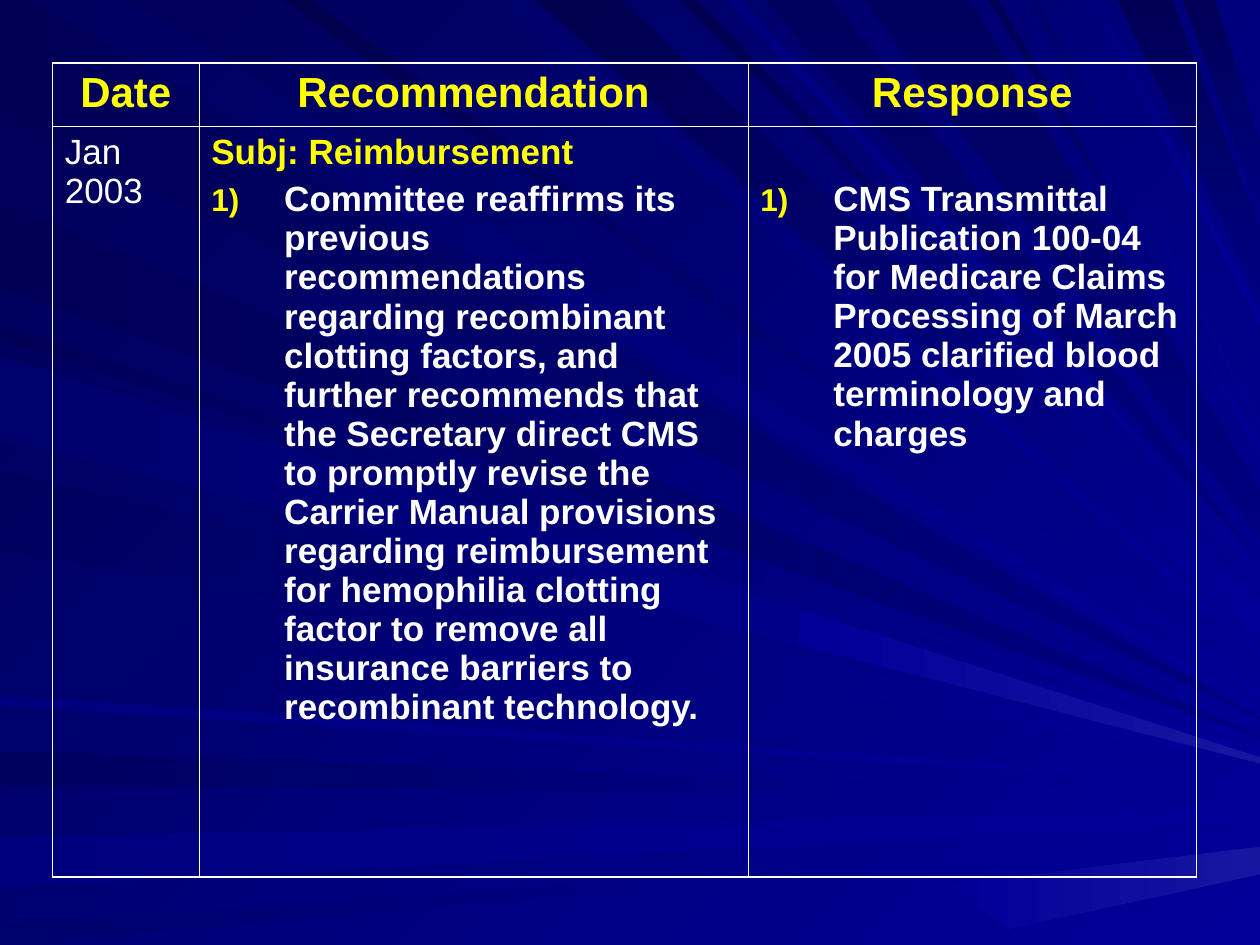
from dataclasses import dataclass

from lxml import etree
from pptx import Presentation
from pptx import util as u
from pptx.dml.color import RGBColor
from pptx.enum import text
from pptx.oxml import ns

WHITE = RGBColor(0xFF, 0xFF, 0xFF)
YELLOW = RGBColor(0xFF, 0xFF, 0x00)
ROYAL = RGBColor(0x00, 0x00, 0x99)
NAVY = RGBColor(0x00, 0x00, 0x80)
GLOW = RGBColor(0x16, 0x16, 0xA1)
FAINT = RGBColor(0x00, 0x00, 0x7E)
MID = RGBColor(0x00, 0x00, 0x6C)
DIM = RGBColor(0x00, 0x00, 0x5E)
NIGHT = RGBColor(0x00, 0x00, 0x56)
DEEP = RGBColor(0x00, 0x00, 0x4C)

RAY_UNIT = u.Cm(0.0254)  # the slide is 1000 of these wide
RIGHT_EDGE = 1000
FLAT, SLANTED, UPRIGHT = 180, 135, 90  # directions of the gradients
THICK, THIN = u.Pt(1.08), u.Pt(0.45)
HANG = u.Cm(1.47)
PADDING = u.Cm(0.13)
RESPONSE_TOP = u.Cm(1.09)  # level with the numbered recommendation
FONT = "Arial"


@dataclass(frozen=True)
class Ray:
    """A beam from a stretch of the left or top edge to a tip on the right edge."""
    near: int
    far: int
    tip: int
    dark: RGBColor
    angle: int = SLANTED
    light: RGBColor = ROYAL
    from_top: bool = False
    spread: int = 1

    def outline(self) -> list:
        ends = [(0, self.near), (0, self.far)]
        if self.from_top:
            ends = [(x, y) for y, x in ends]
        return ends + [(RIGHT_EDGE, self.tip + self.spread), (RIGHT_EDGE, self.tip - self.spread)]


@dataclass(frozen=True)
class Line:
    """One paragraph of a table cell."""
    words: str
    color: RGBColor = WHITE
    size: int = 20
    bold: bool = True
    align: text.PP_ALIGN = text.PP_ALIGN.LEFT
    hanging: bool = False
    numbered: bool = False


def top_ray(near: int, far: int, tip: int, dark: RGBColor, **extra) -> Ray:
    return Ray(far, near, tip, dark, from_top=True, **extra)


STEEP = {"angle": UPRIGHT, "light": NAVY}
LEVEL_NAVY = {"angle": FLAT, "light": NAVY}
RAYS = (
    Ray(2, 93, 570, NIGHT, **LEVEL_NAVY),
    top_ray(26, 101, 563, DIM),
    Ray(596, 623, 632, DIM, FLAT),
    Ray(665, 704, 647, FAINT, FLAT, spread=4),
    Ray(735, 750, 662, MID, FLAT),
    Ray(258, 270, 589, NIGHT),
    Ray(159, 228, 585, NIGHT, **LEVEL_NAVY),
    top_ray(398, 416, 518, MID, spread=3),
    top_ray(426, 492, 493, DEEP, spread=14),
    top_ray(540, 552, 463, DEEP),
    top_ray(606, 661, 446, DIM, **STEEP),
    top_ray(887, 930, 210, NIGHT, spread=27, **STEEP),
    top_ray(939, 964, 140, NIGHT, spread=27, **STEEP),
    Ray(278, 342, 599, DIM, spread=3),
    Ray(374, 437, 606, DIM),
    Ray(552, 560, 622, FAINT, FLAT),
    top_ray(225, 247, 550, DEEP, spread=3),
    top_ray(577, 588, 454, FAINT),
    top_ray(686, 770, 409, DIM, spread=19, **STEEP),
    top_ray(785, 792, 357, NIGHT, spread=3),
    top_ray(815, 824, 336, MID),
    top_ray(865, 872, 254, FAINT, spread=4),
    Ray(283, 347, 604, MID, FLAT, spread=3),
)
GLEAMS = (
    ((637, 485), (633, 511), (1000, 606), (1000, 601)),
    ((1000, 694), (1000, 672), (756, 702), (800, 737)),
)

HEADINGS = ("Date", "Recommendation", "Response")
ROWS = (
    tuple((Line(heading, YELLOW, 24, align=text.PP_ALIGN.CENTER),) for heading in HEADINGS),
    (
        (Line("Jan 2003", bold=False),),
        (
            Line("Subj: Reimbursement", YELLOW, hanging=True),
            Line("Committee reaffirms its previous recommendations regarding recombinant "
                 "clotting factors, and further recommends that the Secretary direct CMS to "
                 "promptly revise the Carrier Manual provisions regarding reimbursement for "
                 "hemophilia clotting factor to remove all insurance barriers to recombinant "
                 "technology.", hanging=True, numbered=True),
        ),
        (
            Line("CMS Transmittal Publication 100-04 for Medicare Claims Processing of March "
                 "2005 clarified blood terminology and charges", hanging=True, numbered=True),
        ),
    ),
)
COLUMN_WIDTHS = (u.Cm(2.95), u.Cm(11.07), u.Cm(9.04))
ROW_HEIGHTS = (u.Cm(1.27), u.Cm(15.14))


def set_gradient(fill, start: RGBColor, end: RGBColor, angle: int) -> None:
    fill.gradient()
    fill.gradient_angle = angle
    for stop, color in zip(fill.gradient_stops, (start, end)):
        stop.color.rgb = color


def draw_beam(slide, points, start: RGBColor, end: RGBColor, angle: int) -> None:
    outline = slide.shapes.build_freeform(*points[0], scale=RAY_UNIT)
    outline.add_line_segments(points[1:], close=True)
    beam = outline.convert_to_shape()
    beam.shadow.inherit = False
    beam.line.fill.background()
    set_gradient(beam.fill, start, end, angle)


def add_child(parent, tag: str, **attributes: str):
    return etree.SubElement(parent, ns.qn(tag), attributes)


def write_line(paragraph, line: Line, first: bool) -> None:
    properties = paragraph._p.get_or_add_pPr()
    if line.hanging:
        properties.set("marL", str(HANG))
        properties.set("indent", str(-HANG))
    if line.numbered:
        add_child(add_child(properties, "a:buClr"), "a:srgbClr", val=str(YELLOW))
        add_child(properties, "a:buSzPct", val="90000")
        add_child(properties, "a:buAutoNum", type="arabicParenR")
    paragraph.alignment = line.align
    if not first:
        paragraph.space_before = u.Pt(5)
    run = paragraph.add_run()
    run.text = line.words
    font_format = {"name": FONT, "size": u.Pt(line.size), "bold": line.bold}
    for attribute, value in font_format.items():
        setattr(run.font, attribute, value)
    run.font.color.rgb = line.color


def set_borders(cell, widths: dict) -> None:
    properties = cell._tc.get_or_add_tcPr()
    for side, width in widths.items():
        border = add_child(properties, f"a:ln{side}", w=str(width))
        add_child(add_child(border, "a:solidFill"), "a:srgbClr", val=str(WHITE))


def fill_cell(cell, lines: tuple, borders: dict, top: u.Length) -> None:
    set_borders(cell, borders)
    cell.fill.background()
    cell_format = {"margin_left": u.Cm(0.25), "margin_right": u.Cm(0.25), "margin_top": top,
                   "margin_bottom": PADDING, "vertical_anchor": text.MSO_ANCHOR.TOP}
    for attribute, value in cell_format.items():
        setattr(cell, attribute, value)
    frame = cell.text_frame
    for index, line in enumerate(lines):
        paragraph = frame.add_paragraph() if index else frame.paragraphs[0]
        write_line(paragraph, line, first=index == 0)


def draw_table(slide) -> None:
    last_row, last_column = len(ROWS) - 1, len(HEADINGS) - 1
    table = slide.shapes.add_table(len(ROWS), len(HEADINGS), u.Cm(1.06), u.Cm(1.27),
                                   sum(COLUMN_WIDTHS), sum(ROW_HEIGHTS)).table
    table.first_row = table.horz_banding = False
    for column, width in zip(table.columns, COLUMN_WIDTHS):
        column.width = width
    for row, height in zip(table.rows, ROW_HEIGHTS):
        row.height = height
    for r, row_cells in enumerate(ROWS):
        for c, lines in enumerate(row_cells):
            outer = {"L": c == 0, "R": c == last_column, "T": r == 0, "B": r == last_row}
            borders = {side: THICK if edge else THIN for side, edge in outer.items()}
            top = RESPONSE_TOP if (r, c) == (last_row, last_column) else PADDING
            fill_cell(table.cell(r, c), lines, borders, top)


def main() -> None:
    deck = Presentation()
    deck.slide_width, deck.slide_height = u.Cm(25.4), u.Cm(19.05)
    slide = deck.slides.add_slide(deck.slide_layouts[6])
    set_gradient(slide.background.fill, ROYAL, NIGHT, SLANTED)
    for ray in RAYS:
        draw_beam(slide, ray.outline(), ray.light, ray.dark, ray.angle)
    for gleam in GLEAMS:
        draw_beam(slide, gleam, GLOW, ROYAL, FLAT)
    draw_table(slide)
    deck.save("out.pptx")


if __name__ == "__main__":
    main()
